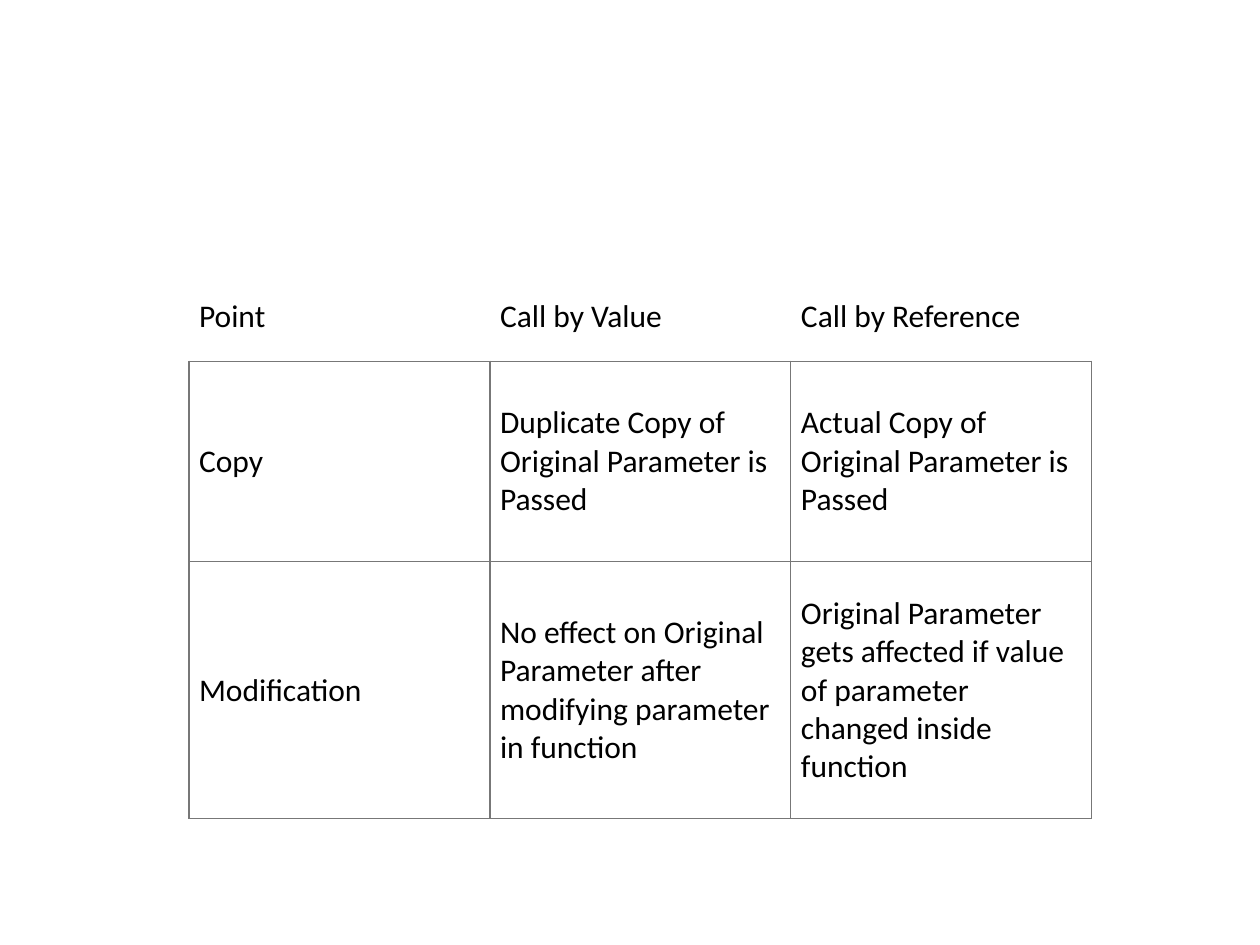
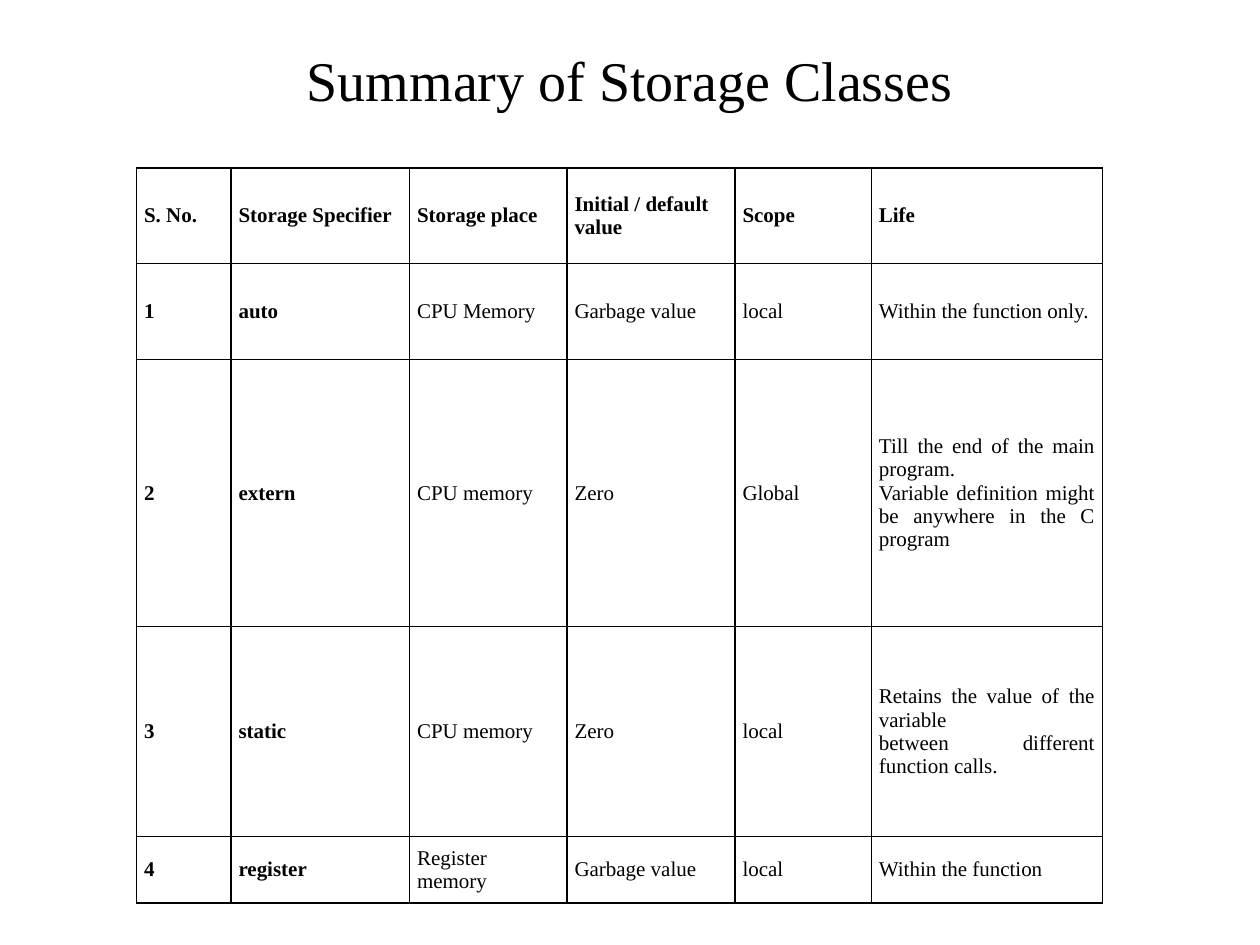
"""Build two slides that compare C parameter passing and storage classes."""
import lxml.etree
import pptx
import pptx.dml.color
import pptx.enum.text
import pptx.oxml.ns
import pptx.util

COLORS = {"paper": "FFFFFF", "ink": "000000", "soft_line": "777777"}
ALL_SIDES = "LRTB"

CALL_ROWS = [
    ["Point", "Call by Value", "Call by Reference"],
    ["Copy", "Duplicate Copy of Original Parameter is Passed",
     "Actual Copy of Original Parameter is Passed"],
    ["Modification",
     "No effect on Original Parameter after modifying parameter in function",
     "Original Parameter gets affected if value of parameter changed inside function"],
]

STORAGE_ROWS = [
    ["S. No.", "Storage Specifier", "Storage place", "Initial / default value",
     "Scope", "Life"],
    ["1", "auto", "CPU Memory", "Garbage value", "local", "Within the function only."],
    ["2", "extern", "CPU memory", "Zero", "Global",
     "Till the end of the main program.\v"
     "Variable definition might be anywhere in the C program"],
    ["3", "static", "CPU memory", "Zero", "local",
     "Retains the value of the variable\vbetween different function calls."],
    ["4", "register", "Register memory", "Garbage value", "local", "Within the function"],
]


class Deck:
    """Holds the style and the current slide, on a grid of 120 by 90 units."""

    def __init__(self):
        self.presentation = pptx.Presentation()
        self.presentation.slide_width = pptx.util.Inches(10)
        self.presentation.slide_height = pptx.util.Inches(7.5)
        self.unit = self.presentation.slide_width / 120
        self.slide = None

    def length(self, units):
        return round(units * self.unit)

    def color(self, name):
        return pptx.dml.color.RGBColor.from_string(COLORS[name])

    def add_slide(self):
        self.slide = self.presentation.slides.add_slide(
            self.presentation.slide_layouts[6])
        fill = self.slide.background.fill
        fill.solid()
        fill.fore_color.rgb = self.color("paper")

    def set_text(self, text_frame, text, font, size, bold=False, align="LEFT"):
        text_frame.text = text
        for paragraph in text_frame.paragraphs:
            paragraph.alignment = pptx.enum.text.PP_ALIGN[align]
            for run in paragraph.runs:
                run.font.name = font
                run.font.size = pptx.util.Pt(size)
                run.font.bold = bold
                run.font.color.rgb = self.color("ink")

    def add_title(self, text, font):
        shape = self.slide.shapes.add_textbox(
            *map(self.length, (6, 2, 108, 11)))
        shape.text_frame.word_wrap = True
        shape.text_frame.vertical_anchor = pptx.enum.text.MSO_ANCHOR.MIDDLE
        self.set_text(shape.text_frame, text, font, 32, align="CENTER")

    def draw_borders(self, cell, line, sides):
        properties = cell._tc.get_or_add_tcPr()
        for side in ALL_SIDES:
            border = lxml.etree.SubElement(
                properties, pptx.oxml.ns.qn(f"a:ln{side}"), w=str(pptx.util.Pt(0.75)))
            if side in sides:
                fill = lxml.etree.SubElement(border, pptx.oxml.ns.qn("a:solidFill"))
                lxml.etree.SubElement(
                    fill, pptx.oxml.ns.qn("a:srgbClr"), val=COLORS[line])
            else:
                lxml.etree.SubElement(border, pptx.oxml.ns.qn("a:noFill"))

    def add_table(self, left, top, columns, heights, rows, line, font, size,
                  margins, header_sides=ALL_SIDES, bold_columns=0,
                  bold_header=False, justified_column=None):
        table = self.slide.shapes.add_table(
            len(rows), len(columns), *map(
                self.length, (left, top, sum(columns), sum(heights)))).table
        table.first_row = table.horz_banding = False
        for column, width in zip(table.columns, columns):
            column.width = self.length(width)
        for row, height in zip(table.rows, heights):
            row.height = self.length(height)
        side_margin, end_margin = map(pptx.util.Inches, margins)
        for row_index, texts in enumerate(rows):
            header = row_index == 0
            for column_index, text in enumerate(texts):
                cell = table.cell(row_index, column_index)
                cell.margin_left = cell.margin_right = side_margin
                cell.margin_top = cell.margin_bottom = end_margin
                cell.vertical_anchor = pptx.enum.text.MSO_ANCHOR.MIDDLE
                self.draw_borders(cell, line, header_sides if header else ALL_SIDES)
                cell.fill.background()
                bold = column_index < bold_columns or (header and bold_header)
                justified = column_index == justified_column and not header
                self.set_text(cell.text_frame, text, font, size, bold,
                              "JUSTIFY" if justified else "LEFT")


def main():
    deck = Deck()
    deck.add_slide()
    deck.add_table(18, 26, [86 / 3] * 3, [8.4, 19.1, 24.5], CALL_ROWS,
                   "soft_line", "Calibri", 18, (0.08, 0.08), header_sides="B")
    deck.add_slide()
    deck.add_title("Summary of Storage Classes", "Times New Roman")
    deck.add_table(13, 16, [9, 17, 15, 16, 13, 22], [9.1, 9.1, 25.5, 20, 6.3],
                   STORAGE_ROWS, "ink", "Times New Roman", 12, (0.06, 0.03),
                   bold_columns=2, bold_header=True, justified_column=5)
    deck.presentation.save("out.pptx")


if __name__ == "__main__":
    main()
